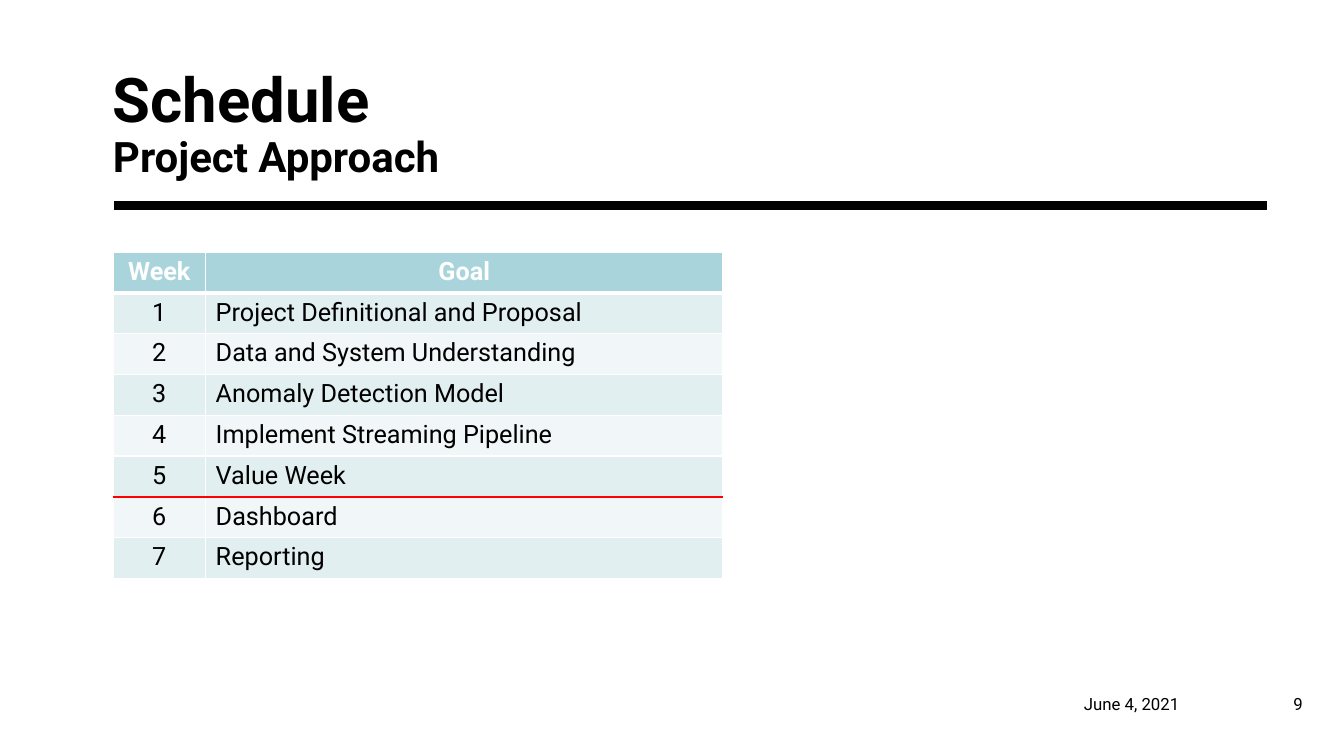
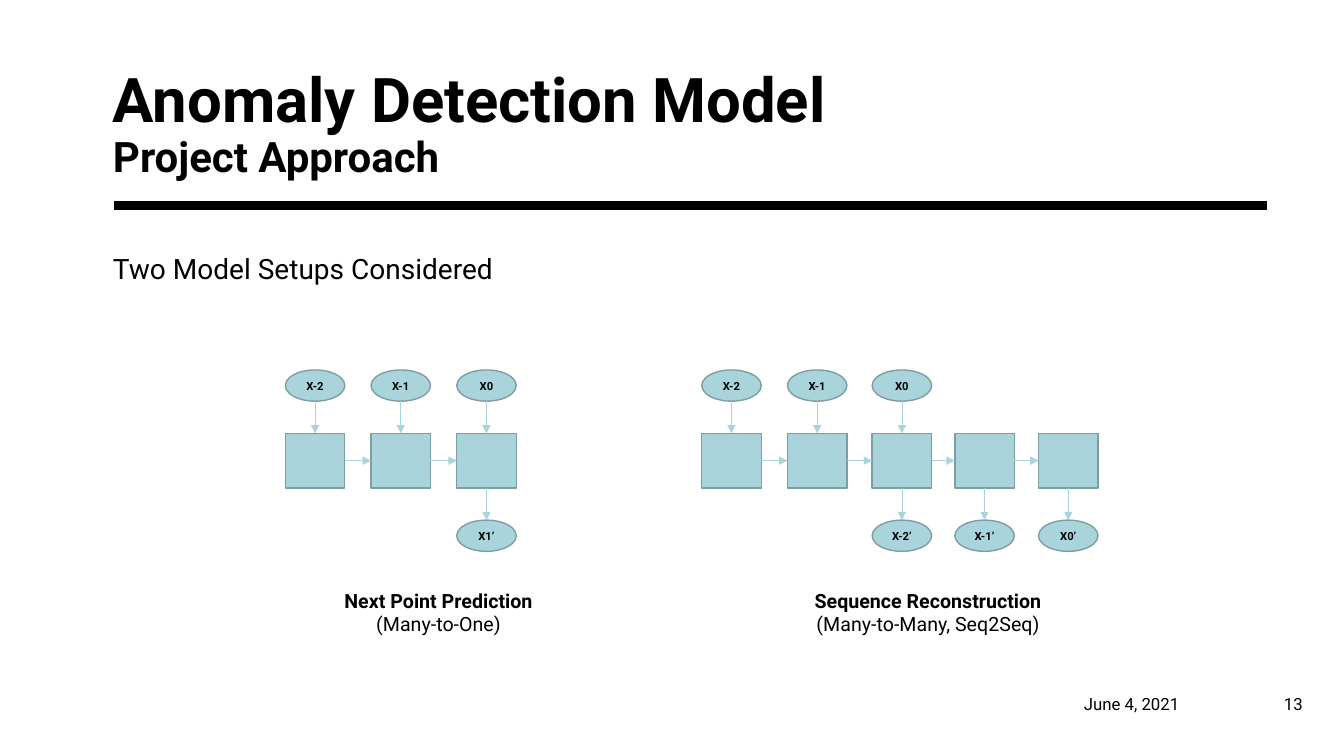
from dataclasses import dataclass

from lxml import etree
from pptx import Presentation
from pptx.dml.color import RGBColor
from pptx.enum.shapes import MSO_CONNECTOR, MSO_SHAPE
from pptx.enum.text import MSO_ANCHOR, MSO_AUTO_SIZE, PP_ALIGN
from pptx.oxml.ns import qn
from pptx.slide import Slide
from pptx.table import _Cell
from pptx.text.text import TextFrame, _Paragraph
from pptx.util import Inches, Pt

STRAIGHT = MSO_CONNECTOR.STRAIGHT
RECTANGLE, OVAL = MSO_SHAPE.RECTANGLE, MSO_SHAPE.OVAL
LEFT, CENTER, RIGHT = PP_ALIGN.LEFT, PP_ALIGN.CENTER, PP_ALIGN.RIGHT
TOP, MIDDLE, BOTTOM = MSO_ANCHOR.TOP, MSO_ANCHOR.MIDDLE, MSO_ANCHOR.BOTTOM

FONT = "Roboto"
COLORS = {
    "text": "000000",
    "white": "FFFFFF",
    "teal": "A9D4DB",
    "outline": "7D9DA2",
    "band_dark": "E2EFF1",
    "band_light": "F1F7F8",
    "marker": "FF0000",
}
TITLE_ONLY = 5
MARGIN = 1.12
CONTENT_TOP = 2.5

# Schedule table
GOALS = (
    "Project Definitional and Proposal",
    "Data and System Understanding",
    "Anomaly Detection Model",
    "Implement Streaming Pipeline",
    "Value Week",
    "Dashboard",
    "Reporting",
)
COLUMN_WIDTHS = (0.92, 5.13)
ROW_HEIGHT = 0.405
WEEKS_DONE = 5

# Model diagrams: inputs above the cells, outputs below
NODE_WIDTH = 0.59
INPUT_TOP, CELL_TOP, OUTPUT_TOP = 3.67, 4.3, 5.16
OVAL_HEIGHT, CELL_HEIGHT = 0.31, 0.54
INPUTS = ("X-2", "X-1", "X0")


@dataclass(frozen=True)
class Box:
    left: float
    top: float
    width: float
    height: float


@dataclass(frozen=True)
class Span:
    text: str
    size: float
    bold: bool = False
    color: str = "text"


@dataclass(frozen=True)
class Model:
    name: str
    kind: str
    caption: Box
    cell_lefts: tuple[float, ...]
    outputs: tuple[str, ...]


MODELS = (
    Model("Next Point Prediction", "(Many-to-One)",
          Box(3.13, 5.79, 2.44, 0.57),
          (2.83, 3.68, 4.53), ("X1’",)),
    Model("Sequence Reconstruction", "(Many-to-Many, Seq2Seq)",
          Box(7.81, 5.79, 2.79, 0.57),
          (6.96, 7.81, 8.65, 9.47, 10.3), ("X-2’", "X-1’", "X0’")),
)


def rgb(name: str) -> RGBColor:
    return RGBColor.from_string(COLORS[name])


def add_span(para: _Paragraph, span: Span) -> None:
    run = para.add_run()
    run.text = span.text
    run.font.name = FONT
    run.font.size = Pt(span.size)
    run.font.bold = span.bold
    run.font.color.rgb = rgb(span.color)


def set_frame(frame: TextFrame, anchor: MSO_ANCHOR, inset_x: float, inset_y: float) -> None:
    frame.word_wrap = True
    frame.auto_size = MSO_AUTO_SIZE.NONE
    frame.vertical_anchor = anchor
    frame.margin_left = frame.margin_right = Inches(inset_x)
    frame.margin_top = frame.margin_bottom = Inches(inset_y)


def add_text(slide: Slide, box: Box, spans: tuple[Span, ...], align: PP_ALIGN = LEFT,
             anchor: MSO_ANCHOR = TOP, inset_x: float = 0.1, inset_y: float = 0.05,
             space_before: float = 0) -> None:
    """Add a text box with one paragraph for each span."""
    shape = slide.shapes.add_textbox(Inches(box.left), Inches(box.top),
                                     Inches(box.width), Inches(box.height))
    frame = shape.text_frame
    set_frame(frame, anchor, inset_x, inset_y)
    for index, span in enumerate(spans):
        para = frame.add_paragraph() if index else frame.paragraphs[0]
        para.alignment = align
        para.space_before = Pt(space_before)
        add_span(para, span)


def add_line(slide: Slide, start: tuple[float, float], end: tuple[float, float],
             color: str, weight: float, arrow: bool = False) -> None:
    connector = slide.shapes.add_connector(STRAIGHT, Inches(start[0]), Inches(start[1]),
                                           Inches(end[0]), Inches(end[1]))
    connector.line.color.rgb = rgb(color)
    connector.line.width = Pt(weight)
    if arrow:
        outline = connector.line._get_or_add_ln()
        etree.SubElement(outline, qn("a:tailEnd"), type="triangle")
    etree.SubElement(connector._element.spPr, qn("a:effectLst"))


def add_base_slide(deck: Presentation, title: str, number: int) -> Slide:
    """Add a slide with its title, rule, date and page number."""
    slide = deck.slides.add_slide(deck.slide_layouts[TITLE_ONLY])
    add_line(slide, (1.13, 2.04), (12.57, 2.04), "text", 6)

    heading = slide.shapes.title
    heading.left, heading.top = Inches(MARGIN), Inches(0.42)
    heading.width, heading.height = Inches(11.03), Inches(1.38)
    set_frame(heading.text_frame, BOTTOM, 0, 0)
    para = heading.text_frame.paragraphs[0]
    para.alignment = LEFT
    para.line_spacing = 0.9
    add_span(para, Span(title, 44, True))
    para.add_line_break()
    add_span(para, Span("Project Approach", 30, True))

    add_text(slide, Box(10.75, 6.88, 1.67, 0.2), (Span("June 4, 2021", 12),),
             anchor=MIDDLE, inset_x=0)
    add_text(slide, Box(12.57, 6.88, 0.45, 0.2), (Span(str(number), 12),),
             align=RIGHT, anchor=MIDDLE)
    return slide


def set_borders(cell: _Cell, top: float, bottom: float) -> None:
    properties = cell._tc.get_or_add_tcPr()
    for side, weight in (("L", 1), ("R", 1), ("T", top), ("B", bottom)):
        border = etree.SubElement(properties, qn(f"a:ln{side}"), w=str(Pt(weight)))
        fill = etree.SubElement(border, qn("a:solidFill"))
        etree.SubElement(fill, qn("a:srgbClr"), val=COLORS["white"])


def add_schedule(slide: Slide) -> None:
    rows = [("Week", "Goal")]
    rows += [(str(week), goal) for week, goal in enumerate(GOALS, start=1)]
    width = sum(COLUMN_WIDTHS)
    table = slide.shapes.add_table(
        len(rows), len(COLUMN_WIDTHS), Inches(MARGIN), Inches(CONTENT_TOP),
        Inches(width), Inches(ROW_HEIGHT * len(rows))).table
    for column, column_width in zip(table.columns, COLUMN_WIDTHS):
        column.width = Inches(column_width)

    for row_index, row in enumerate(rows):
        table.rows[row_index].height = Inches(ROW_HEIGHT)
        header = row_index == 0
        band = "band_dark" if row_index % 2 else "band_light"
        for column_index, text in enumerate(row):
            cell = table.cell(row_index, column_index)
            set_borders(cell, top=3 if row_index == 1 else 1, bottom=3 if header else 1)
            cell.fill.solid()
            cell.fill.fore_color.rgb = rgb("teal" if header else band)
            para = cell.text_frame.paragraphs[0]
            para.alignment = CENTER if header or column_index == 0 else LEFT
            add_span(para, Span(text, 18, header, "white" if header else "text"))

    # Progress marker below the last finished week
    marker_top = CONTENT_TOP + ROW_HEIGHT * (WEEKS_DONE + 1)
    add_line(slide, (MARGIN, marker_top), (MARGIN + width, marker_top), "marker", 1.5)


def add_node(slide: Slide, kind: MSO_SHAPE, left: float, top: float, height: float,
             label: str = "") -> None:
    node = slide.shapes.add_shape(kind, Inches(left), Inches(top),
                                  Inches(NODE_WIDTH), Inches(height))
    node.shadow.inherit = False
    node.fill.solid()
    node.fill.fore_color.rgb = rgb("teal")
    node.line.color.rgb = rgb("outline")
    node.line.width = Pt(1)
    if label:
        set_frame(node.text_frame, MIDDLE, 0, 0)
        para = node.text_frame.paragraphs[0]
        para.alignment = CENTER
        add_span(para, Span(label, 8, True))


def add_arrow(slide: Slide, start: tuple[float, float], end: tuple[float, float]) -> None:
    add_line(slide, start, end, "teal", 0.5, arrow=True)


def add_model(slide: Slide, model: Model) -> None:
    lefts = model.cell_lefts
    # Chain of cells
    for left in lefts:
        add_node(slide, RECTANGLE, left, CELL_TOP, CELL_HEIGHT)
    middle = CELL_TOP + CELL_HEIGHT / 2
    for left, following in zip(lefts, lefts[1:]):
        add_arrow(slide, (left + NODE_WIDTH, middle), (following, middle))

    # Inputs feed the first cells, outputs leave the last ones
    for left, label in zip(lefts, INPUTS):
        center = left + NODE_WIDTH / 2
        add_node(slide, OVAL, left, INPUT_TOP, OVAL_HEIGHT, label)
        add_arrow(slide, (center, INPUT_TOP + OVAL_HEIGHT), (center, CELL_TOP))
    for left, label in zip(lefts[-len(model.outputs):], model.outputs):
        center = left + NODE_WIDTH / 2
        add_node(slide, OVAL, left, OUTPUT_TOP, OVAL_HEIGHT, label)
        add_arrow(slide, (center, CELL_TOP + CELL_HEIGHT), (center, OUTPUT_TOP))

    add_text(slide, model.caption, (Span(model.name, 14, True), Span(model.kind, 14)),
             align=CENTER)


def main() -> None:
    deck = Presentation()
    deck.slide_width, deck.slide_height = Inches(13.33), Inches(7.5)

    schedule = add_base_slide(deck, "Schedule", 9)
    add_schedule(schedule)

    detection = add_base_slide(deck, "Anomaly Detection Model", 13)
    add_text(detection, Box(MARGIN, CONTENT_TOP, 4.79, 3.9),
             (Span("Two Model Setups Considered", 20),),
             inset_x=0, inset_y=0, space_before=10)
    for model in MODELS:
        add_model(detection, model)

    deck.save("out.pptx")


if __name__ == "__main__":
    main()
